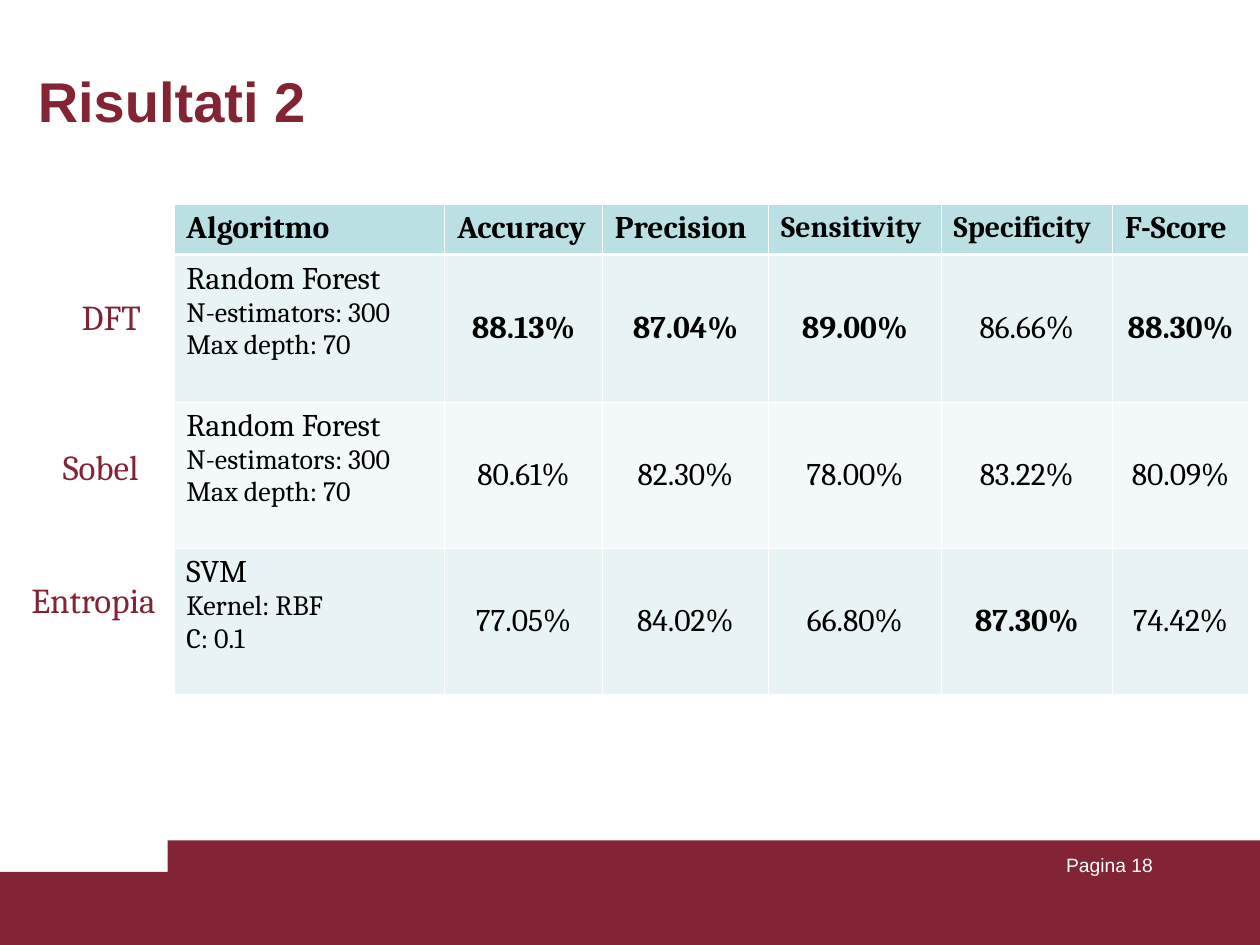
from lxml import etree
from pptx import Presentation
from pptx.dml.color import RGBColor
from pptx.enum.shapes import MSO_SHAPE
from pptx.enum.text import MSO_ANCHOR, MSO_AUTO_SIZE, PP_ALIGN
from pptx.oxml.ns import qn
from pptx.util import Inches, Pt

RECT = MSO_SHAPE.RECTANGLE
TOP, MIDDLE = MSO_ANCHOR.TOP, MSO_ANCHOR.MIDDLE
LEFT, CENTER, RIGHT = PP_ALIGN.LEFT, PP_ALIGN.CENTER, PP_ALIGN.RIGHT
FIT = MSO_AUTO_SIZE.SHAPE_TO_FIT_TEXT

MAROON, WHITE, BLACK = "822433", "FFFFFF", "000000"
HEADER_FILL, ROW_FILLS = "BBE0E3", ("E7F3F4", "F3F9FA")

TITLE = "Risultati 2"
PAGE = "Pagina 18"
BANDS = [(0, 6.92, 10, 0.58), (1.33, 6.67, 8.67, 0.83)]
HEADERS = [("Algoritmo", 18), ("Accuracy", 18), ("Precision", 18),
           ("Sensitivity", 17), ("Specificity", 17), ("F-Score", 18)]
RESULTS = [
    (["Random Forest", "N-estimators: 300", "Max depth: 70"], [88.13, 87.04, 89.00, 86.66, 88.30]),
    (["Random Forest", "N-estimators: 300", "Max depth: 70"], [80.61, 82.30, 78.00, 83.22, 80.09]),
    (["SVM", "Kernel: RBF", "C: 0.1"], [77.05, 84.02, 66.80, 87.30, 74.42]),
]
COL_WIDTHS = [2.15, 1.25, 1.32, 1.37, 1.36, 1.08]
ROW_HEIGHTS = [0.4, 1.17, 1.16, 1.16]
LABELS = [("DFT", (0.55, 2.3, 0.74, 0.44), False),
          ("Sobel", (0.4, 3.49, 0.86, 0.44), False),
          ("Entropia", (0.15, 4.54, 1.54, 0.44), True)]


def rgb(value):
    return RGBColor.from_string(value)


def box(values):
    return [Inches(v) for v in values]


def style(p, size, color, name="Cambria", bold=False, align=LEFT):
    p.alignment = align
    for r in p.runs:
        r.font.size = Pt(size)
        r.font.name = name
        r.font.bold = bold
        r.font.color.rgb = rgb(color)


def add_text(s, text, area, size, color, name="Cambria", align=LEFT, wrap=True):
    tf = s.shapes.add_textbox(*box(area)).text_frame
    tf.text = text
    tf.word_wrap = wrap
    style(tf.paragraphs[0], size, color, name, align=align)
    return tf


def add_borders(cell, widths):
    tc_pr = cell._tc.get_or_add_tcPr()
    for i, (side, width) in enumerate(zip(("lnL", "lnR", "lnT", "lnB"), widths)):
        ln = etree.Element(qn(f"a:{side}"), w=str(Pt(width)))
        fill = etree.SubElement(ln, qn("a:solidFill"))
        etree.SubElement(fill, qn("a:srgbClr"), val=WHITE)
        tc_pr.insert(i, ln)


def fill_cell(cell, lines, sizes, color, bold=False, align=LEFT, anchor=TOP):
    cell.text = "\n".join(lines)
    cell.vertical_anchor = anchor
    cell.fill.solid()
    cell.fill.fore_color.rgb = rgb(color)
    for p, size in zip(cell.text_frame.paragraphs, sizes):
        style(p, size, BLACK, bold=bold, align=align)


def add_results(s):
    area = (1.38, 1.62, sum(COL_WIDTHS), sum(ROW_HEIGHTS))
    table = s.shapes.add_table(len(ROW_HEIGHTS), len(COL_WIDTHS), *box(area)).table
    for col, width in zip(table.columns, COL_WIDTHS):
        col.width = Inches(width)
    for row, height in zip(table.rows, ROW_HEIGHTS):
        row.height = Inches(height)
    for j, (text, size) in enumerate(HEADERS):
        fill_cell(table.cell(0, j), [text], [size], HEADER_FILL, bold=True)
    best = [max(column) for column in zip(*(scores for _, scores in RESULTS))]
    for i, (algorithm, scores) in enumerate(RESULTS, 1):
        color = ROW_FILLS[(i - 1) % 2]
        fill_cell(table.cell(i, 0), algorithm, [18, 16, 16], color)
        for j, score in enumerate(scores, 1):
            fill_cell(table.cell(i, j), [f"{score:.2f}%"], [18], color,
                      score == best[j - 1], CENTER, MIDDLE)
    for i, row in enumerate(table.rows):
        for cell in row.cells:
            add_borders(cell, (0.45, 0.45, 1.47 if i == 1 else 0.45, 1.47 if i == 0 else 0.45))


def main():
    prs = Presentation()
    prs.slide_width, prs.slide_height = Inches(10), Inches(7.5)
    s = prs.slides.add_slide(prs.slide_layouts[5])

    for area in BANDS:
        band = s.shapes.add_shape(RECT, *box(area))
        band.shadow.inherit = False
        band.fill.solid()
        band.fill.fore_color.rgb = rgb(MAROON)
        band.line.fill.background()

    title = s.shapes.title
    title.left, title.top, title.width, title.height = box((0.2, 0.48, 8.27, 0.55))
    tf = title.text_frame
    tf.text = TITLE
    tf.vertical_anchor = TOP
    tf.auto_size = MSO_AUTO_SIZE.NONE
    style(tf.paragraphs[0], 32, MAROON, "Arial", bold=True)

    add_text(s, PAGE, (7.17, 6.72, 2.08, 0.5), 11, WHITE, "Arial", RIGHT)
    add_results(s)
    for text, area, wrap in LABELS:
        add_text(s, text, area, 20, MAROON, wrap=wrap).auto_size = FIT

    prs.save("out.pptx")


if __name__ == "__main__":
    main()
